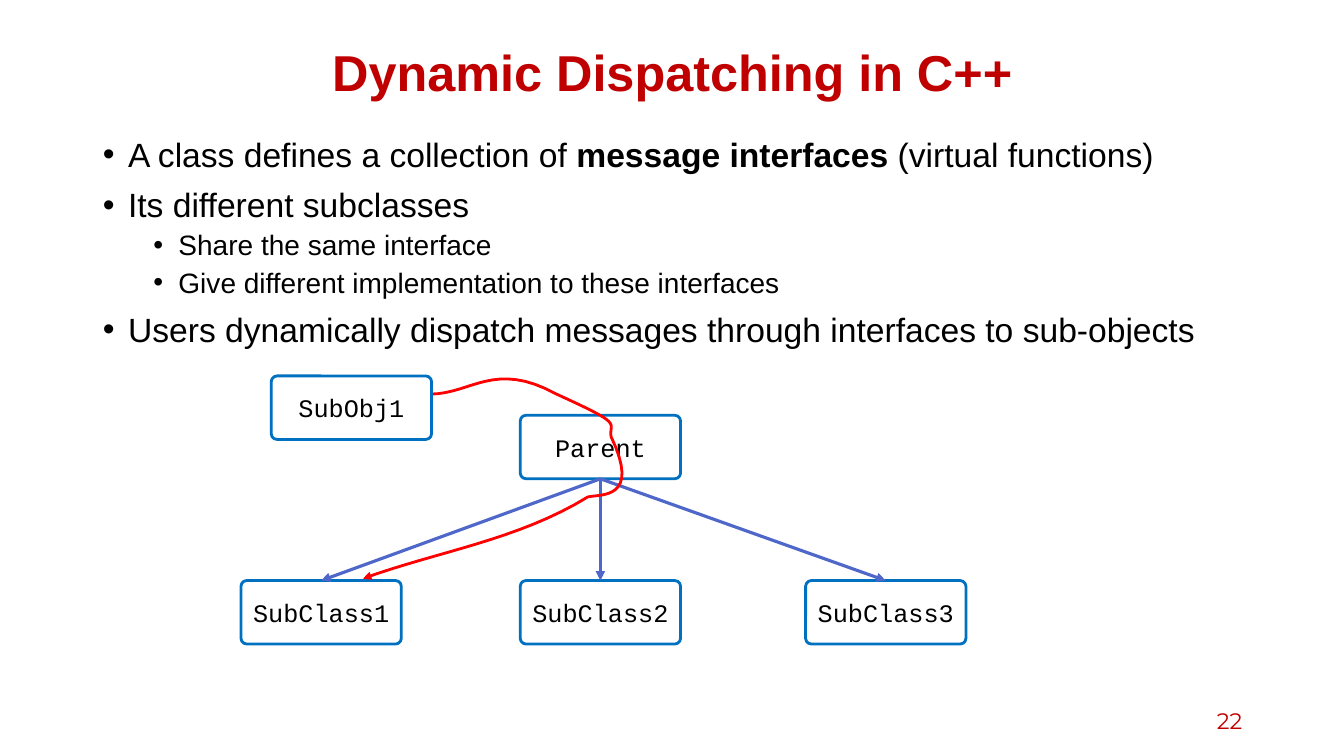
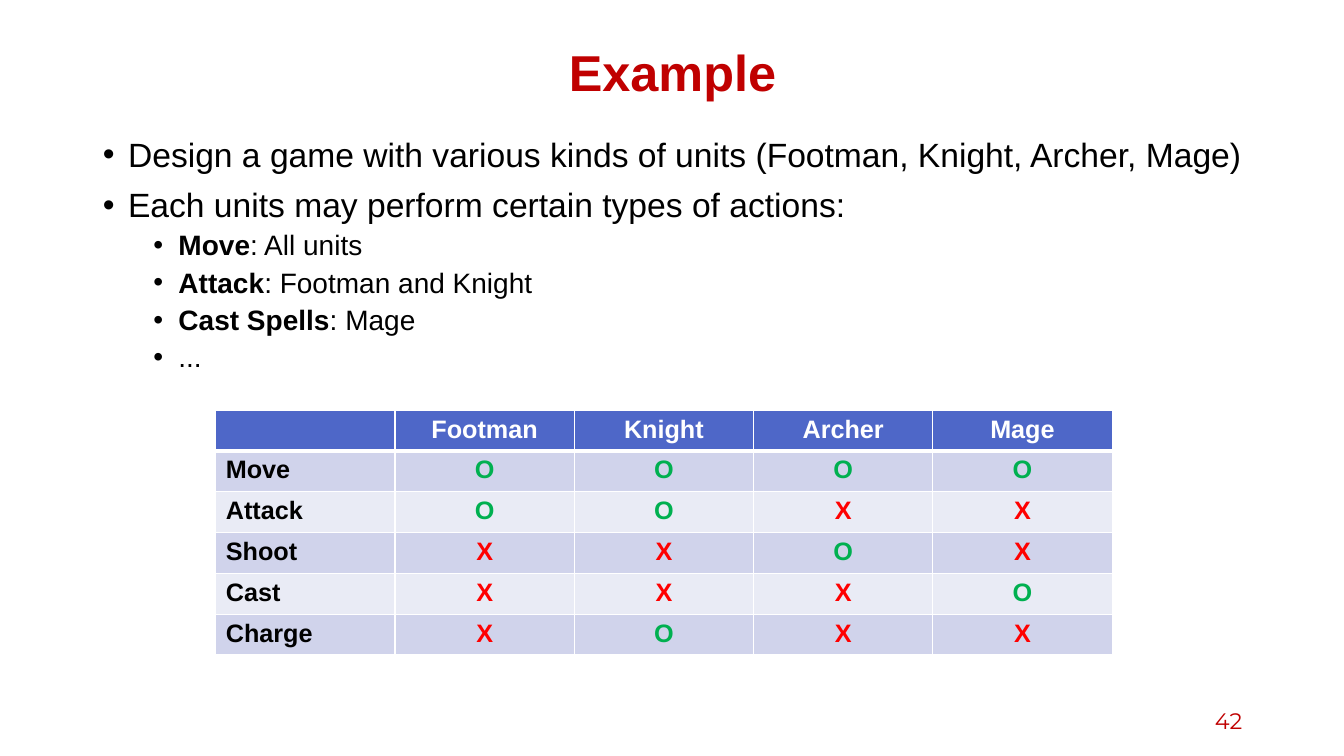
"""Builds two lecture slides: a dispatch diagram and a table of unit actions."""
from lxml import etree
from pptx import Presentation
from pptx import util as u
from pptx.dml.color import RGBColor
from pptx.enum import shapes, text
from pptx.oxml.ns import qn

HUES = {
    "title": "C00000", "ink": "000000", "paper": "FFFFFF", "edge": "0070C0",
    "link": "4E67C8", "route": "FF0000", "dark": "D0D3EB", "light": "E9EBF5",
    "O": "00B050", "X": "FF0000",
}
SANS, CODE, PAGE = "Arial", "Courier New", "Montserrat"
MID = text.PP_ALIGN.CENTER
TITLE = (0.92, 0.4, 11.5, 0.7)
BODY = (0.92, 1.32, 11.5, 5.51)
FOOT = (9.42, 6.95, 3, 0.4)


def hue(name):
    return RGBColor.from_string(HUES[name])


def inch(*nums):
    return [u.Inches(n) for n in nums]


def place(shape, box):
    shape.left, shape.top, shape.width, shape.height = inch(*box)


def style(para, size, font, color, bold=None, align=None):
    para.alignment = align
    for run in para.runs:
        run.font.size = u.Pt(size)
        run.font.name = font
        run.font.color.rgb = hue(color)
        if bold is not None:
            run.font.bold = bold


def stroke(shape, color, width, arrow=False):
    shape.line.color.rgb = hue(color)
    shape.line.width = u.Pt(width)
    if arrow:
        line = shape.line._get_or_add_ln()
        etree.SubElement(line, qn("a:tailEnd"), type="triangle")


def bullet(para, level, line):
    para.level = level
    para.line_spacing = 0.9
    para.space_before = u.Pt(5 if level else 10)
    for i, part in enumerate(line.split("*")):
        if part:
            run = para.add_run()
            run.text = part
            run.font.bold = i % 2 == 1
    style(para, 20 if level else 24, SANS, "ink")
    props = para._p.get_or_add_pPr()
    props.set("marL", str(u.Inches(0.75 if level else 0.25)))
    props.set("indent", str(u.Inches(-0.25)))
    etree.SubElement(props, qn("a:buFont"), typeface=SANS)
    etree.SubElement(props, qn("a:buChar"), char="•")


def frame(deck, title, lines, page):
    slide = deck.slides.add_slide(deck.slide_layouts[1])
    head, body = slide.placeholders
    place(head, TITLE)
    head.text_frame.text = title
    head.text_frame.auto_size = text.MSO_AUTO_SIZE.NONE
    head.text_frame.vertical_anchor = text.MSO_ANCHOR.MIDDLE
    para = head.text_frame.paragraphs[0]
    para.line_spacing = 0.9
    style(para, 36, SANS, "title", True, MID)

    place(body, BODY)
    area = body.text_frame
    area.auto_size = text.MSO_AUTO_SIZE.NONE
    for i, (level, line) in enumerate(lines):
        bullet(area.add_paragraph() if i else area.paragraphs[0], level, line)

    foot = slide.shapes.add_textbox(*inch(*FOOT)).text_frame
    foot.word_wrap = True
    foot.vertical_anchor = text.MSO_ANCHOR.MIDDLE
    foot.text = page
    style(foot.paragraphs[0], 16, PAGE, "title", align=text.PP_ALIGN.RIGHT)
    return slide


def node(slide, label, left, top):
    shape = slide.shapes.add_shape(
        shapes.MSO_SHAPE.ROUNDED_RECTANGLE, *inch(left, top, 1.59, 0.63))
    shape.adjustments[0] = 0.091
    shape.shadow.inherit = False
    shape.fill.solid()
    shape.fill.fore_color.rgb = hue("paper")
    stroke(shape, "edge", 2)
    area = shape.text_frame
    area.text = label
    area.vertical_anchor = text.MSO_ANCHOR.MIDDLE
    style(area.paragraphs[0], 18, CODE, "ink", align=MID)
    return shape


def link(slide, start, end):
    line = slide.shapes.add_connector(shapes.MSO_CONNECTOR.STRAIGHT, 0, 0, 0, 0)
    line.begin_connect(start, 2)
    line.end_connect(end, 0)
    stroke(line, "link", 2.25, True)
    etree.SubElement(line._element.spPr, qn("a:effectLst"))


def bend(start, curves, steps=16):
    dots = [start]
    for a, b, end in curves:
        for i in range(1, steps + 1):
            t = i / steps
            s = 1 - t
            dots.append(tuple(
                s ** 3 * p + 3 * s * s * t * q + 3 * s * t * t * r + t ** 3 * e
                for p, q, r, e in zip(start, a, b, end)))
        start = end
    return dots


def route(slide, left, top):
    curves = [
        ((2.29, 0.18), (2.51, -0.16), (3.13, 0.18)),
        ((3.81, 0.49), (3.65, 0.45), (3.67, 0.6)),
        ((3.97, 1.23), (3.57, 1.17), (3.44, 1.2)),
        ((2.74, 1.63), (1.95, 1.74), (1.21, 2.01)),
    ]
    dots = [inch(left + x, top + y) for x, y in bend((1.87, 0.18), curves)]
    maker = slide.shapes.build_freeform(*dots[0])
    maker.add_line_segments(dots[1:], close=False)
    shape = maker.convert_to_shape()
    shape.shadow.inherit = False
    shape.fill.background()
    stroke(shape, "route", 2, True)


def tree(slide, left, top):
    root = node(slide, "Parent", left + 2.77, top + 0.39)
    kids = [node(slide, f"SubClass{i}", left + x, top + 2.03)
            for i, x in enumerate((0, 2.77, 5.6), 1)]
    for kid in kids:
        link(slide, root, kid)
    route(slide, left, top)
    node(slide, "SubObj1", left + 0.3, top)


def border(cell, head):
    props = cell._tc.get_or_add_tcPr()
    for side in "LRTB":
        width = 3 if head and side == "B" else 1
        line = etree.SubElement(props, qn("a:ln" + side), w=str(u.Pt(width)))
        fill = etree.SubElement(line, qn("a:solidFill"))
        etree.SubElement(fill, qn("a:srgbClr"), val=HUES["paper"])


def matrix(slide, box, rows):
    count, wide = len(rows), len(rows[0])
    table = slide.shapes.add_table(count, wide, *inch(*box)).table
    for r, row in enumerate(rows):
        for c, word in enumerate(row):
            cell = table.cell(r, c)
            border(cell, r == 0)
            cell.fill.solid()
            cell.fill.fore_color.rgb = hue(
                "link" if r == 0 else "dark" if r % 2 else "light")
            cell.text = word
            color = "paper" if r == 0 else word if c else "ink"
            style(cell.text_frame.paragraphs[0], 18, SANS, color, True,
                  MID if c else None)


def main():
    deck = Presentation()
    deck.slide_width, deck.slide_height = inch(13.33, 7.5)

    slide = frame(deck, "Dynamic Dispatching in C++", [
        (0, "A class defines a collection of *message interfaces *(virtual functions)"),
        (0, "Its different subclasses"),
        (1, "Share the same interface"),
        (1, "Give different implementation to these interfaces"),
        (0, "Users dynamically dispatch messages through interfaces to sub-objects"),
    ], "22")
    tree(slide, 2.39, 3.73)

    slide = frame(deck, "Example", [
        (0, "Design a game with various kinds of units (Footman, Knight, Archer, Mage)"),
        (0, "Each units may perform certain types of actions:"),
        (1, "*Move*: All units"),
        (1, "*Attack*: Footman and Knight"),
        (1, "*Cast Spells*: Mage"),
        (1, "..."),
    ], "42")
    marks = {"Move": "OOOO", "Attack": "OOXX", "Shoot": "XXOX",
             "Cast": "XXXO", "Charge": "XOXX"}
    matrix(slide, (2.14, 4.07, 8.89, 2.43),
           [["", "Footman", "Knight", "Archer", "Mage"]]
           + [[name, *row] for name, row in marks.items()])

    deck.save("out.pptx")


if __name__ == "__main__":
    main()
